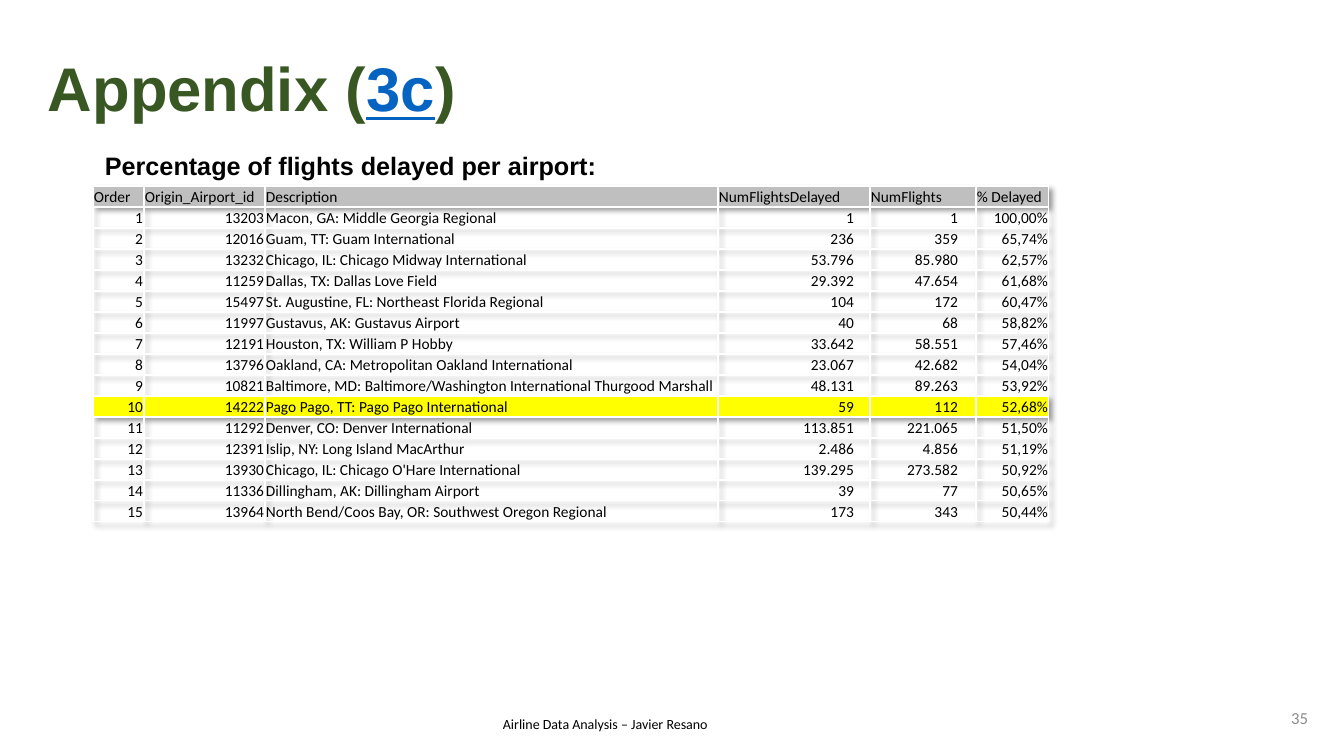
import lxml.etree
import pptx
import pptx.dml.color
import pptx.enum.text
import pptx.oxml
import pptx.oxml.ns
import pptx.util

ALIGN = pptx.enum.text.PP_ALIGN
ANCHOR = pptx.enum.text.MSO_ANCHOR
HEADER_GREY, HIGHLIGHT, BLACK = "BFBFBF", "FFFF00", "000000"
COLUMN_WIDTHS = [51, 121, 453, 152, 106, 73]
RIGHT_INSETS = [1, 1, 1, 16, 18, 1]
ROW_HEIGHT = 21
DESCRIPTION_COLUMN = 2
HIGHLIGHTED_ORDER = 10
HEADERS = ["Order", "Origin_Airport_id", "Description",
           "NumFlightsDelayed", "NumFlights", "% Delayed"]
AIRPORTS = [
    ("13203", "Macon, GA: Middle Georgia Regional", "1", "1", "100,00%"),
    ("12016", "Guam, TT: Guam International", "236", "359", "65,74%"),
    ("13232", "Chicago, IL: Chicago Midway International", "53.796", "85.980", "62,57%"),
    ("11259", "Dallas, TX: Dallas Love Field", "29.392", "47.654", "61,68%"),
    ("15497", "St. Augustine, FL: Northeast Florida Regional", "104", "172", "60,47%"),
    ("11997", "Gustavus, AK: Gustavus Airport", "40", "68", "58,82%"),
    ("12191", "Houston, TX: William P Hobby", "33.642", "58.551", "57,46%"),
    ("13796", "Oakland, CA: Metropolitan Oakland International", "23.067", "42.682", "54,04%"),
    ("10821", "Baltimore, MD: Baltimore/Washington International Thurgood Marshall",
     "48.131", "89.263", "53,92%"),
    ("14222", "Pago Pago, TT: Pago Pago International", "59", "112", "52,68%"),
    ("11292", "Denver, CO: Denver International", "113.851", "221.065", "51,50%"),
    ("12391", "Islip, NY: Long Island MacArthur", "2.486", "4.856", "51,19%"),
    ("13930", "Chicago, IL: Chicago O'Hare International", "139.295", "273.582", "50,92%"),
    ("11336", "Dillingham, AK: Dillingham Airport", "39", "77", "50,65%"),
    ("13964", "North Bend/Coos Bay, OR: Southwest Oregon Regional", "173", "343", "50,44%"),
]


def px(n):
    """Turn px into EMU."""
    return pptx.util.Emu(round(n * 914400 / 100.8))


def rgb(value):
    """Turn a hex string into a colour."""
    return pptx.dml.color.RGBColor.from_string(value)


def add_run(p, text, size, font, color, bold=False, underline=False):
    """Append one formatted run to a paragraph."""
    r = p.add_run()
    r.text = text
    r.font.size = pptx.util.Pt(size)
    r.font.name = font
    r.font.bold = bold
    r.font.underline = underline
    r.font.color.rgb = rgb(color)


def add_text(s, box, anchor=ANCHOR.TOP, align=ALIGN.LEFT, wrap=True):
    """Add an empty text box and return its first paragraph."""
    tf = s.shapes.add_textbox(*map(px, box)).text_frame
    tf.word_wrap = wrap
    tf.vertical_anchor = anchor
    p = tf.paragraphs[0]
    p.alignment = align
    return p


def add_title(s, box):
    """Add the slide title with its underlined reference."""
    p = add_text(s, box, ANCHOR.MIDDLE)
    p.line_spacing = 0.9
    add_run(p, "Appendix (", 44, "Arial", "385723", True)
    add_run(p, "3c", 44, "Arial", "0563C1", True, True)
    add_run(p, ")", 44, "Arial", "385723", True)


def add_subtitle(s, box):
    """Add the heading above the table."""
    p = add_text(s, box, wrap=False)
    add_run(p, "Percentage of flights delayed per airport:", 18, "Arial", BLACK, True)


def add_borders(cell):
    """Draw thin white lines on the four sides of a cell."""
    tc_pr = cell._tc.get_or_add_tcPr()
    for i, side in enumerate(("lnL", "lnR", "lnT", "lnB")):
        tc_pr.insert(i, pptx.oxml.parse_xml(
            f'<a:{side} {pptx.oxml.ns.nsdecls("a")} w="12700"><a:solidFill>'
            f'<a:srgbClr val="FFFFFF"/></a:solidFill></a:{side}>'))


def add_shadow(table):
    """Give the table a soft shadow to the lower right."""
    table._tbl.tblPr.insert(0, pptx.oxml.parse_xml(
        f'<a:effectLst {pptx.oxml.ns.nsdecls("a")}>'
        '<a:outerShdw blurRad="50800" dist="38100" dir="2700000" algn="tl" rotWithShape="0">'
        '<a:srgbClr val="000000"><a:alpha val="40000"/></a:srgbClr>'
        '</a:outerShdw></a:effectLst>'))


def fill_cell(cell, text, fill, align, right_inset):
    """Write and format one table cell."""
    cell.margin_left = cell.margin_top = px(1)
    cell.margin_right = px(right_inset)
    cell.margin_bottom = 0
    cell.vertical_anchor = ANCHOR.BOTTOM
    if fill:
        cell.fill.solid()
        cell.fill.fore_color.rgb = rgb(fill)
    else:
        cell.fill.background()
    add_borders(cell)
    p = cell.text_frame.paragraphs[0]
    p.alignment = align
    add_run(p, text, 11, "Calibri", BLACK)


def add_airport_table(s, left, top):
    """Add the table of delayed flights at the given corner."""
    rows = [HEADERS] + [(str(n), *airport) for n, airport in enumerate(AIRPORTS, 1)]
    table = s.shapes.add_table(len(rows), len(HEADERS), px(left), px(top),
                               px(sum(COLUMN_WIDTHS)), px(ROW_HEIGHT * len(rows))).table
    table.first_row = table.horz_banding = False
    add_shadow(table)
    for column, width in zip(table.columns, COLUMN_WIDTHS):
        column.width = px(width)
    for i, row in enumerate(rows):
        table.rows[i].height = px(ROW_HEIGHT)
        fill = {0: HEADER_GREY, HIGHLIGHTED_ORDER: HIGHLIGHT}.get(i)
        for j, text in enumerate(row):
            is_left = i == 0 or j == DESCRIPTION_COLUMN
            fill_cell(table.cell(i, j), text, fill,
                      ALIGN.LEFT if is_left else ALIGN.RIGHT,
                      1 if is_left else RIGHT_INSETS[j])


def add_footer(s, box, number_box):
    """Add the footer text and the slide number."""
    p = add_text(s, box)
    add_run(p, "Airline Data Analysis – Javier Resano", 10, "Calibri", BLACK)
    p = add_text(s, number_box, ANCHOR.MIDDLE, ALIGN.RIGHT)
    add_run(p, "35", 12, "Calibri", "8C8C8C")


def main():
    """Build the slide and save it."""
    prs = pptx.Presentation()
    prs.slide_width, prs.slide_height = px(1344), px(756)
    s = prs.slides.add_slide(prs.slide_layouts[6])
    add_title(s, (38, 19, 1159, 146))
    add_airport_table(s, 93, 186)
    add_subtitle(s, (95, 145, 516, 40))
    add_footer(s, (493, 711, 330, 27), (1275, 698, 43, 40))
    prs.save("out.pptx")


if __name__ == "__main__":
    main()
